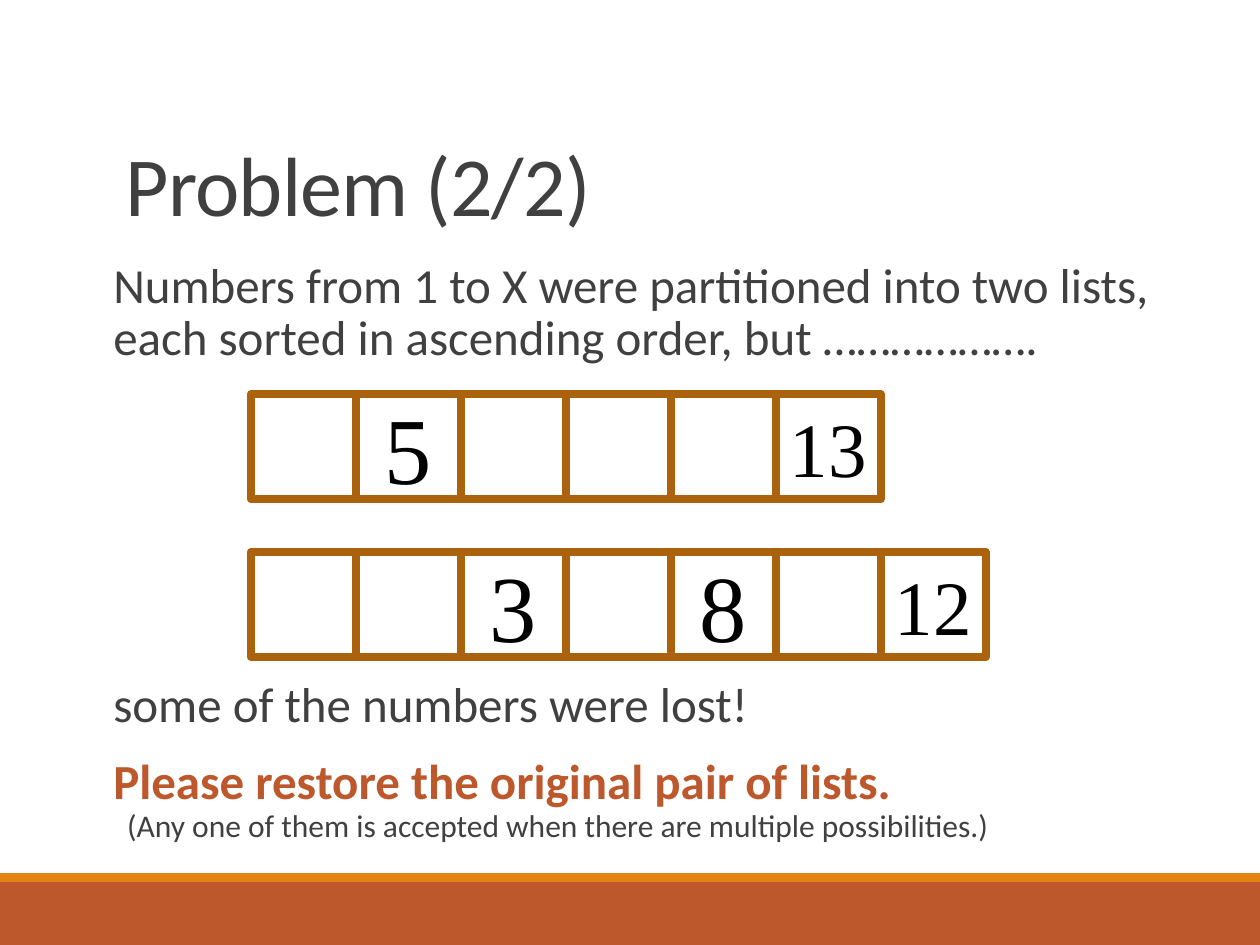
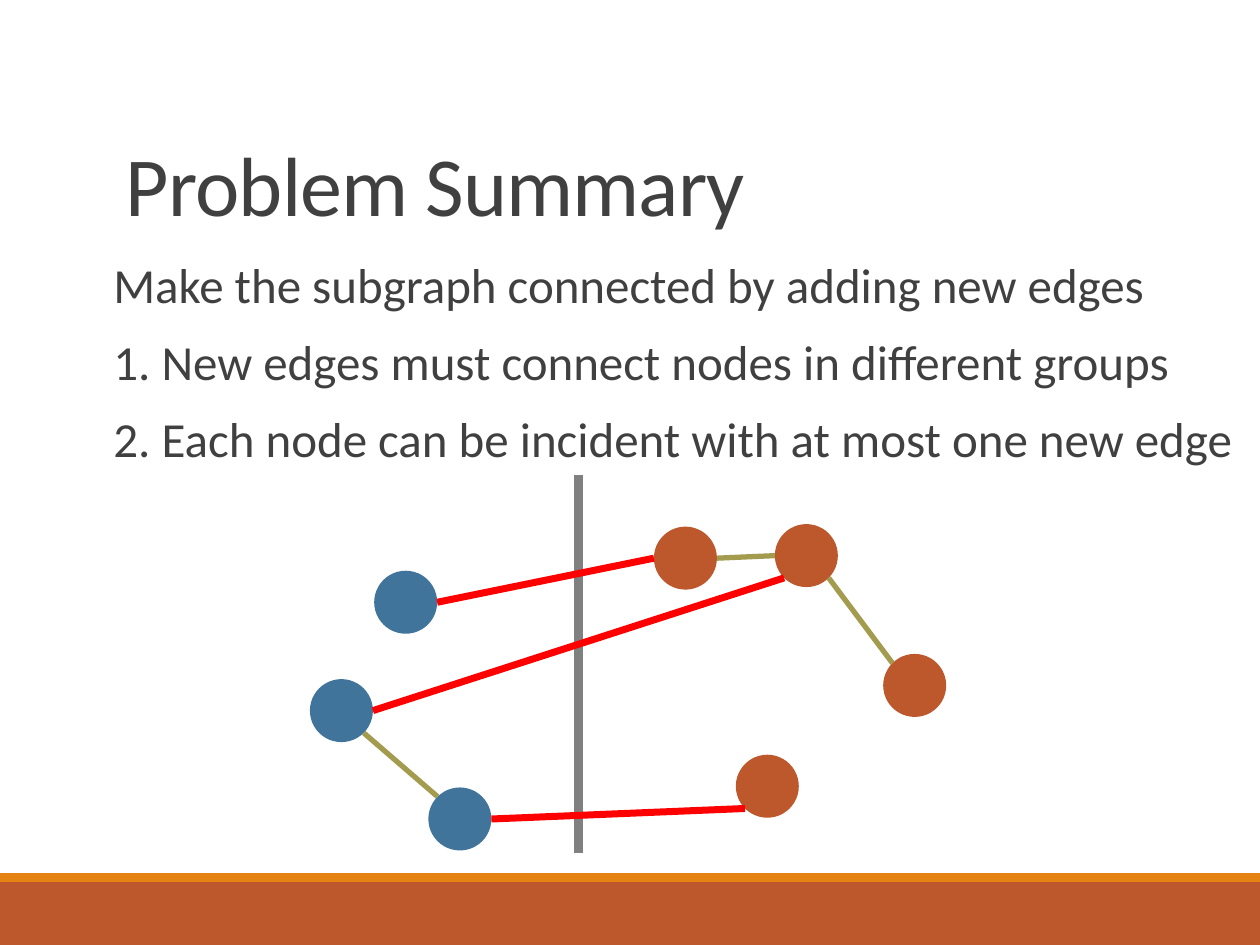
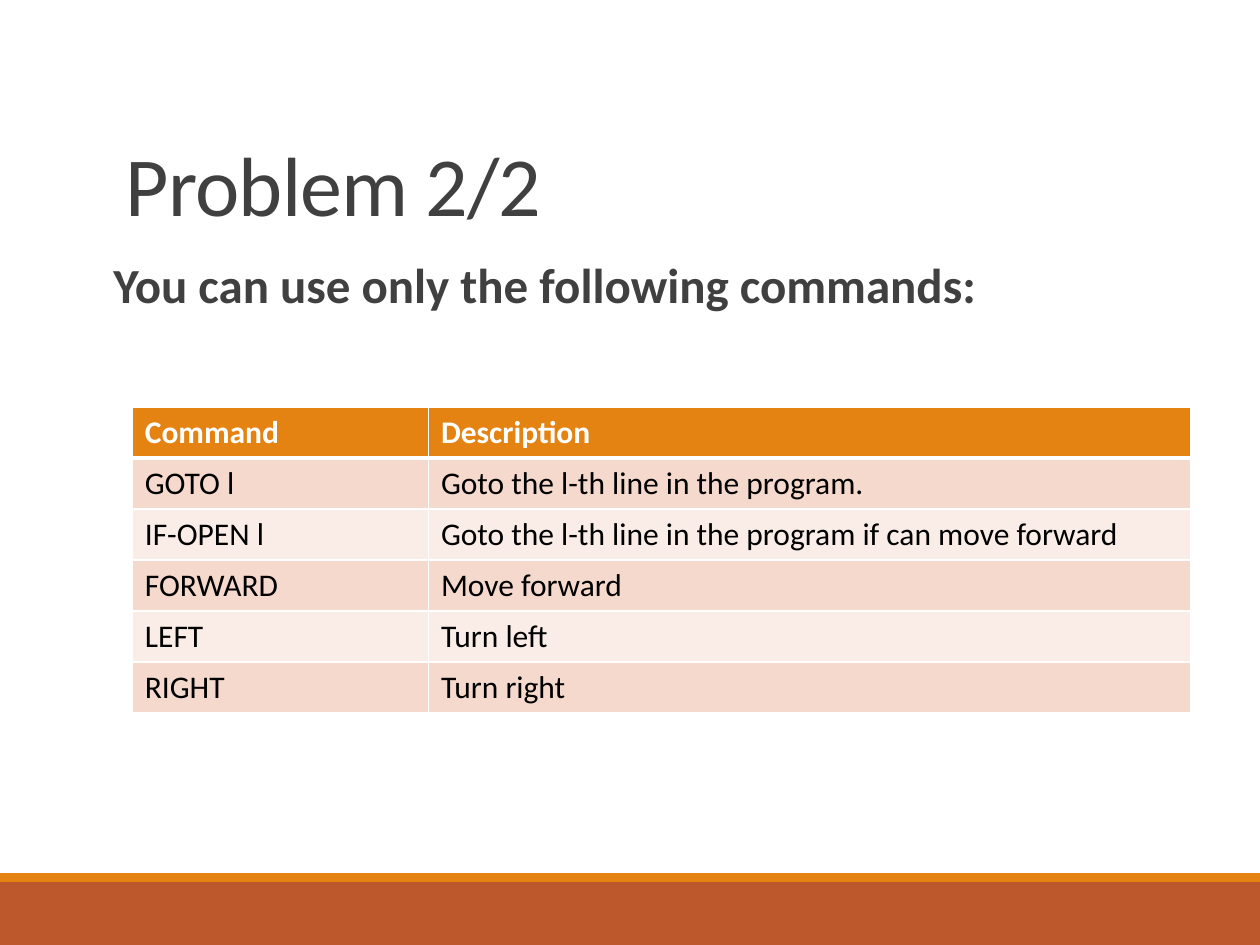
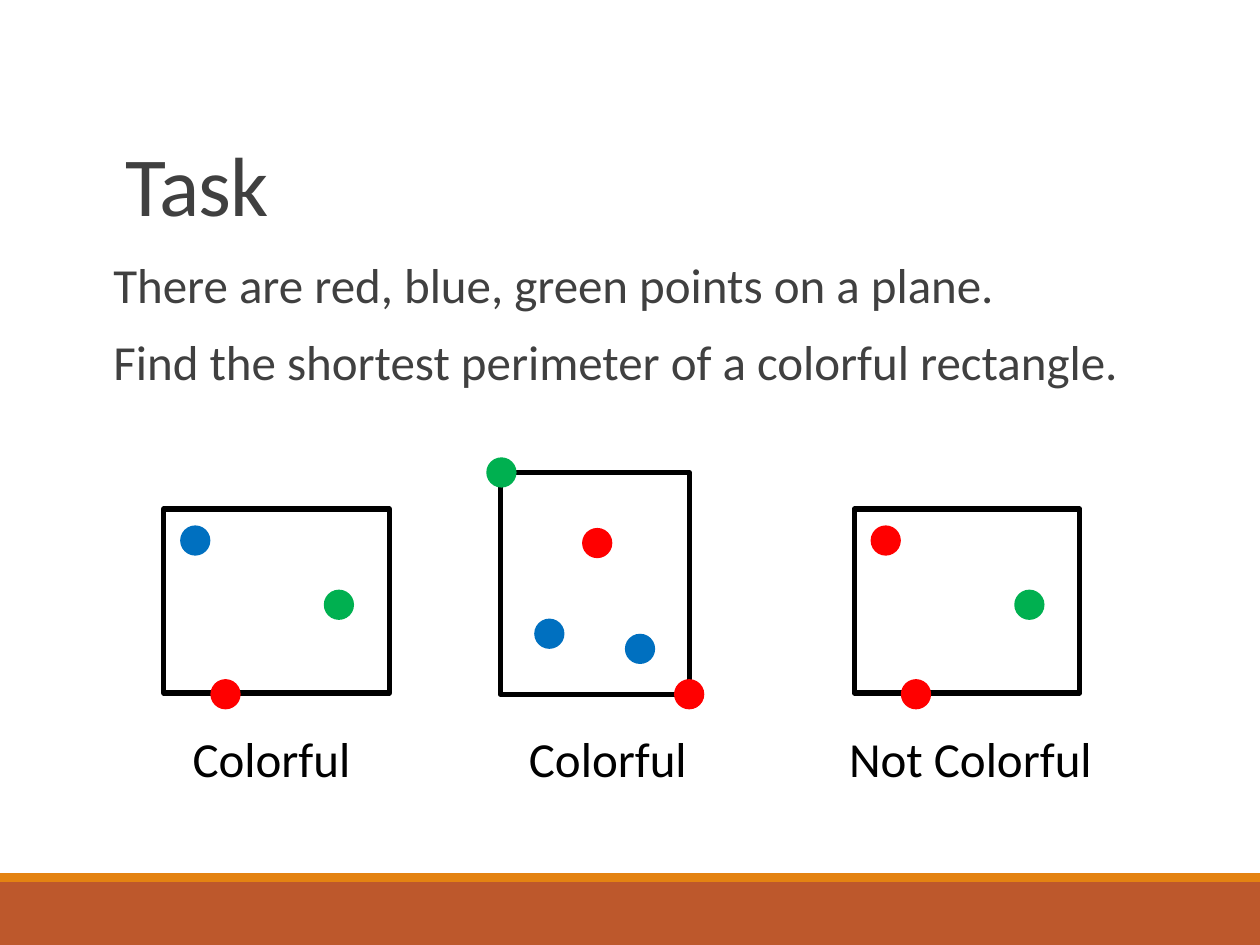
import math

from lxml import etree
from pptx import Presentation
from pptx.dml.color import RGBColor
from pptx.enum import shapes, text
from pptx.oxml import ns
from pptx.util import Inches, Pt

COLORS = {
    "rust": "BD582C", "orange": "E48312", "ink": "404040", "brown": "AB620D",
    "steel": "40749B", "olive": "A39B4E", "gray": "808080", "black": "000000",
    "white": "FFFFFF", "red": "FF0000", "blue": "0070C0", "green": "00B050",
    "peach": "F5D9CC", "cream": "FAEDE7",
}
RECT = shapes.MSO_SHAPE.RECTANGLE
OVAL = shapes.MSO_SHAPE.OVAL


def add_run(paragraph, words, size, color="black", bold=False, font="Calibri"):
    run = paragraph.add_run()
    run.text = words
    run.font.size = Pt(size)
    run.font.name = font
    run.font.bold = bold
    run.font.color.rgb = RGBColor.from_string(COLORS[color])
    return run


def add_figure(slide, kind, left, top, width, height, fill=None, line=None, weight=1):
    """Add a flat shape with an optional fill and an optional outline."""
    figure = slide.shapes.add_shape(
        kind, Inches(left), Inches(top), Inches(width), Inches(height))
    figure.shadow.inherit = False
    if fill:
        figure.fill.solid()
        figure.fill.fore_color.rgb = RGBColor.from_string(COLORS[fill])
    else:
        figure.fill.background()
    if line:
        figure.line.color.rgb = RGBColor.from_string(COLORS[line])
        figure.line.width = Pt(weight)
    else:
        figure.line.fill.background()
    return figure


prs = Presentation()
prs.slide_width, prs.slide_height = Inches(10), Inches(7.5)

# Bands, title and body text of every slide
BODY = {"size": 28, "color": "ink", "bold": False, "before": 12, "after": 2, "indent": 0}
contents = [
    ("Problem (2/2)", 8.7, 5.07, [
        {"text": "Numbers from 1 to X were partitioned into two lists, "
                 "each sorted in ascending order, but ………………."},
        {"text": "some of the numbers were lost!", "before": 177},
        {"text": "Please restore the original pair of lists.",
         "color": "rust", "bold": True, "after": 0},
        {"text": "(Any one of them is accepted when there are multiple possibilities.)",
         "size": 18, "before": 0, "indent": 0.11},
    ]),
    ("Problem Summary", 8.98, 4.4, [
        {"text": "Make the subgraph connected by adding new edges"},
        {"text": "1. New edges must connect nodes in different groups"},
        {"text": "2. Each node can be incident with at most one new edge"},
    ]),
    ("Problem 2/2", 8.7, 4.4, [
        {"text": "You can use only the following commands:", "bold": True},
    ]),
    ("Task", 8.7, 4.4, [
        {"text": "There are red, blue, green points on a plane."},
        {"text": "Find the shortest perimeter of a colorful rectangle."},
    ]),
]
slides = []
for heading, body_width, body_height, lines in contents:
    slide = prs.slides.add_slide(prs.slide_layouts[6])
    slides.append(slide)
    add_figure(slide, RECT, 0, 7, 10, 0.5, fill="rust")
    add_figure(slide, RECT, 0, 6.93, 10, 0.07, fill="orange")

    title = slide.shapes.add_textbox(
        Inches(0.9), Inches(0.31), Inches(8.25), Inches(1.59)).text_frame
    title.word_wrap = True
    title.vertical_anchor = text.MSO_ANCHOR.BOTTOM
    title.paragraphs[0].line_spacing = 0.85
    heading_run = add_run(title.paragraphs[0], heading, 48, "ink")
    heading_run.font._element.set("spc", "-50")

    body = slide.shapes.add_textbox(
        Inches(0.9), Inches(2.02), Inches(body_width), Inches(body_height)).text_frame
    body.word_wrap = True
    body.margin_left = body.margin_right = 0
    for i, line in enumerate(lines):
        style = {**BODY, **line}
        paragraph = body.add_paragraph() if i else body.paragraphs[0]
        paragraph.line_spacing = 0.9
        paragraph.space_before = Pt(style["before"] if i else 0)
        paragraph.space_after = Pt(style["after"])
        if style["indent"]:
            paragraph._p.get_or_add_pPr().set("marL", str(Inches(style["indent"])))
        add_run(paragraph, style["text"], style["size"], style["color"], style["bold"])

partition, graph, commands, task = slides

# Two partly lost lists
PITCH = 5 / 6
for top, numbers in [(3.13, ["", "5", "", "", "", "13"]),
                     (4.38, ["", "", "3", "", "8", "", "12"])]:
    for i, number in enumerate(numbers):
        cell = add_figure(partition, RECT, 1.99 + i * PITCH, top, PITCH, PITCH,
                          line="brown", weight=4.5)
        if number:
            cell.text_frame.vertical_anchor = text.MSO_ANCHOR.MIDDLE
            paragraph = cell.text_frame.paragraphs[0]
            paragraph.alignment = text.PP_ALIGN.CENTER
            add_run(paragraph, number, 54 if len(number) == 1 else 44,
                    font="Times New Roman")

# Graph with two groups of nodes, given by their centres
RADIUS = 0.25
nodes = {
    "left top": (3.22, 4.78, "steel"), "left bottom": (3.65, 6.5, "steel"),
    "left middle": (2.71, 5.64, "steel"), "right top": (5.44, 4.43, "rust"),
    "right bottom": (6.09, 6.24, "rust"), "right hub": (6.4, 4.41, "rust"),
    "right end": (7.26, 5.44, "rust"),
}
for x, y, color in nodes.values():
    add_figure(graph, OVAL, x - RADIUS, y - RADIUS, 2 * RADIUS, 2 * RADIUS, fill=color)

# Each edge leaves and meets its nodes at an angle, clockwise from the right
edges = [
    ("left middle", 45, "left bottom", 225, "olive", 3),
    ("right top", 0, "right hub", 180, "olive", 3),
    ("right hub", 45, "right end", 225, "olive", 3),
    ("left top", 0, "right top", 180, "red", 4),
    ("left middle", 0, "right hub", 135, "red", 4),
    ("left bottom", 0, "right bottom", 135, "red", 4),
]
strokes = [((4.59, 3.77), (4.59, 6.77), "gray", 5)]
for start, start_angle, end, end_angle, color, weight in edges:
    ends = []
    for node, angle in [(start, start_angle), (end, end_angle)]:
        x, y, _ = nodes[node]
        turn = math.radians(angle)
        ends.append((x + RADIUS * math.cos(turn), y + RADIUS * math.sin(turn)))
    strokes.append((*ends, color, weight))
for (x1, y1), (x2, y2), color, weight in strokes:
    edge = graph.shapes.add_connector(
        shapes.MSO_CONNECTOR.STRAIGHT, Inches(x1), Inches(y1), Inches(x2), Inches(y2))
    edge.line.color.rgb = RGBColor.from_string(COLORS[color])
    edge.line.width = Pt(weight)
    etree.SubElement(edge._element.spPr, ns.qn("a:effectLst"))

# Command table
rows = [
    ("Command", "Description"),
    ("GOTO l", "Goto the l-th line in the program."),
    ("IF-OPEN l", "Goto the l-th line in the program if can move forward"),
    ("FORWARD", "Move forward"),
    ("LEFT", "Turn left"),
    ("RIGHT", "Turn right"),
]
table = commands.shapes.add_table(
    len(rows), 2, Inches(1.05), Inches(3.23), Inches(8.4), Inches(2.43)).table
table.columns[0].width, table.columns[1].width = Inches(2.35), Inches(6.05)
for r, row in enumerate(rows):
    for c, words in enumerate(row):
        cell = table.cell(r, c)
        borders = {"lnL": 1, "lnR": 1, "lnT": 3 if r == 1 else 1, "lnB": 3 if r == 0 else 1}
        for side, weight in borders.items():
            border = etree.SubElement(
                cell._tc.get_or_add_tcPr(), ns.qn(f"a:{side}"), w=str(Pt(weight)))
            paint = etree.SubElement(border, ns.qn("a:solidFill"))
            etree.SubElement(paint, ns.qn("a:srgbClr"), val=COLORS["white"])
        fill = "orange" if r == 0 else "peach" if r % 2 else "cream"
        cell.fill.solid()
        cell.fill.fore_color.rgb = RGBColor.from_string(COLORS[fill])
        add_run(cell.text_frame.paragraphs[0], words, 18,
                "white" if r == 0 else "black", bold=r == 0)

# Rectangles with points, placed from each rectangle's corner
DOT = 0.24
panels = [
    (1.3, 4.04, 1.79, 1.46, "Colorful", 1.43, 1.47,
     [(0.37, 1.35, "red"), (0.13, 0.13, "blue"), (1.27, 0.64, "green")]),
    (3.97, 3.75, 1.5, 1.76, "Colorful", 4.1, 1.47,
     [(1.38, 1.64, "red"), (0.27, 1.16, "blue"), (-0.11, -0.12, "green"),
      (0.65, 0.44, "red"), (0.99, 1.28, "blue")]),
    (6.78, 4.04, 1.79, 1.46, "Not Colorful", 6.64, 2.15,
     [(0.37, 1.35, "red"), (0.13, 0.13, "red"), (1.27, 0.64, "green")]),
]
for left, top, width, height, verdict, verdict_left, verdict_width, points in panels:
    add_figure(task, RECT, left, top, width, height, line="black", weight=3)
    for dx, dy, color in points:
        add_figure(task, OVAL, left + dx, top + dy, DOT, DOT, fill=color)
    caption = task.shapes.add_textbox(
        Inches(verdict_left), Inches(5.73), Inches(verdict_width), Inches(0.57)).text_frame
    caption.word_wrap = False
    add_run(caption.paragraphs[0], verdict, 28)

prs.save("out.pptx")
